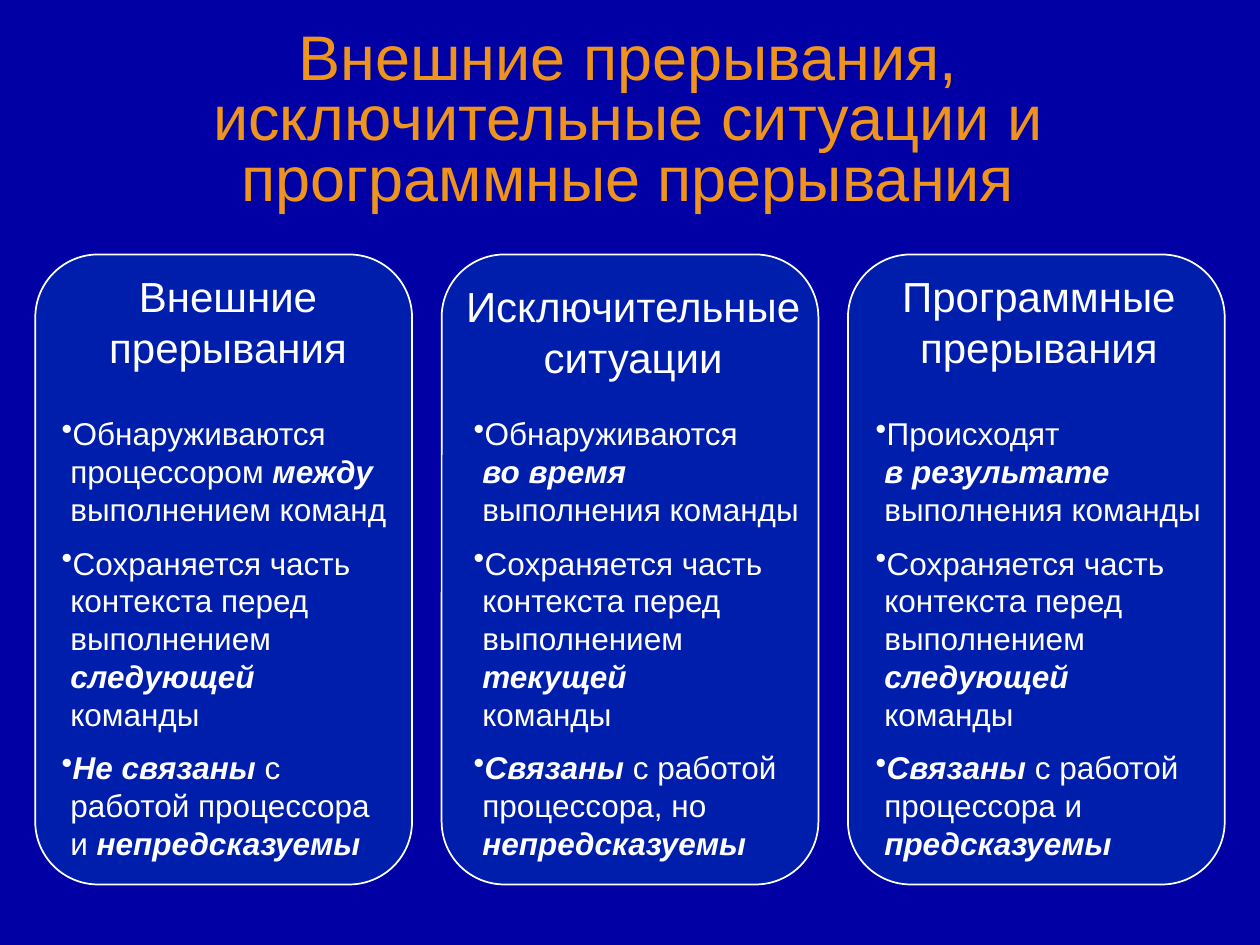
from lxml import etree
from pptx import Presentation
from pptx.dml.color import RGBColor
from pptx.enum.shapes import MSO_SHAPE
from pptx.enum.text import MSO_ANCHOR, MSO_AUTO_SIZE, PP_ALIGN
from pptx.oxml.ns import qn
from pptx.util import Inches, Pt

ROUNDED = MSO_SHAPE.ROUNDED_RECTANGLE
MIDDLE = MSO_ANCHOR.MIDDLE
CENTER = PP_ALIGN.CENTER
NO_AUTOFIT = MSO_AUTO_SIZE.NONE


def set_color(color_format, hex_color):
    color_format.rgb = RGBColor.from_string(hex_color)


def set_font(paragraph, size, hex_color):
    paragraph.font.name = "Arial"
    paragraph.font.size = Pt(size)
    set_color(paragraph.font.color, hex_color)


# Columns: heading, its left, top and width, list left, and list items
# (asterisks enclose the emphasised words)
columns = [
    ("Внешние\vпрерывания", 0.63, 2.1, 2.36, 0.39, [
        "Обнаруживаются\nпроцессором *между*\nвыполнением команд",
        "Сохраняется часть\nконтекста перед\nвыполнением\n*следующей*\nкоманды",
        "*Не связаны* с\nработой процессора\nи *непредсказуемы*",
    ]),
    ("Исключительные ситуации", 3.43, 2.18, 3.19, 3.66, [
        "Обнаруживаются\n*во время*\nвыполнения команды",
        "Сохраняется часть\nконтекста перед\nвыполнением\n*текущей*\nкоманды",
        "*Связаны* с работой\nпроцессора, но\n*непредсказуемы*",
    ]),
    ("Программные прерывания", 6.65, 2.1, 3.19, 6.85, [
        "Происходят\n*в результате*\nвыполнения команды",
        "Сохраняется часть\nконтекста перед\nвыполнением\n*следующей*\nкоманды",
        "*Связаны* с работой\nпроцессора и\n*предсказуемы*",
    ]),
]

prs = Presentation()
prs.slide_width, prs.slide_height = Inches(10), Inches(7.5)
slide = prs.slides.add_slide(prs.slide_layouts[5])
slide.background.fill.solid()
set_color(slide.background.fill.fore_color, "0000A4")

# Title
title = slide.shapes.title
title.left, title.top = Inches(0.33), Inches(0.25)
title.width, title.height = Inches(9.31), Inches(1.45)
title.text_frame.text = "Внешние прерывания, исключительные ситуации и программные прерывания"
title.text_frame.auto_size = NO_AUTOFIT
title.text_frame.vertical_anchor = MIDDLE
title_line = title.text_frame.paragraphs[0]
title_line.alignment = CENTER
title_line.line_spacing = 0.8
set_font(title_line, 36, "EE941C")

for index, (heading, heading_left, heading_top, heading_width, list_left, items) in enumerate(columns):
    # Translucent card
    card = slide.shapes.add_shape(ROUNDED, Inches(0.28 + 3.225 * index), Inches(2.02),
                                  Inches(2.99), Inches(5))
    card.shadow.inherit = False
    card.fill.solid()
    set_color(card.fill.fore_color, "0099CC")
    card_color = card.fill._xPr.find(qn("a:solidFill"))[0]
    etree.SubElement(card_color, qn("a:alpha"), val="20000")
    set_color(card.line.color, "FFFFFF")
    card.line.width = Pt(1)

    # Heading
    heading_box = slide.shapes.add_textbox(Inches(heading_left), Inches(heading_top),
                                           Inches(heading_width), Inches(0.9))
    heading_box.text_frame.word_wrap = True
    heading_line = heading_box.text_frame.paragraphs[0]
    heading_line.text = heading
    heading_line.alignment = CENTER
    set_font(heading_line, 24, "FFFFFF")

    # Bulleted list
    list_box = slide.shapes.add_textbox(Inches(list_left), Inches(3.24), Inches(2.91), Inches(3.71))
    features = list_box.text_frame
    features.word_wrap = True
    for number, item in enumerate(items):
        feature = features.add_paragraph() if number else features.paragraphs[0]
        if number:
            feature.space_before = Pt(9)
        properties = feature._p.get_or_add_pPr()
        properties.set("marL", str(Inches(0.07)))
        properties.set("indent", str(-Inches(0.07)))
        etree.SubElement(properties, qn("a:buChar"), char="•")
        set_font(feature, 18, "FFFFFF")
        for line_number, line in enumerate(item.split("\n")):
            if line_number:
                feature.add_line_break()
            for part_number, part in enumerate(line.split("*")):
                if part:
                    run = feature.add_run()
                    run.text = part
                    if part_number % 2:
                        run.font.bold = run.font.italic = True

prs.save("out.pptx")
